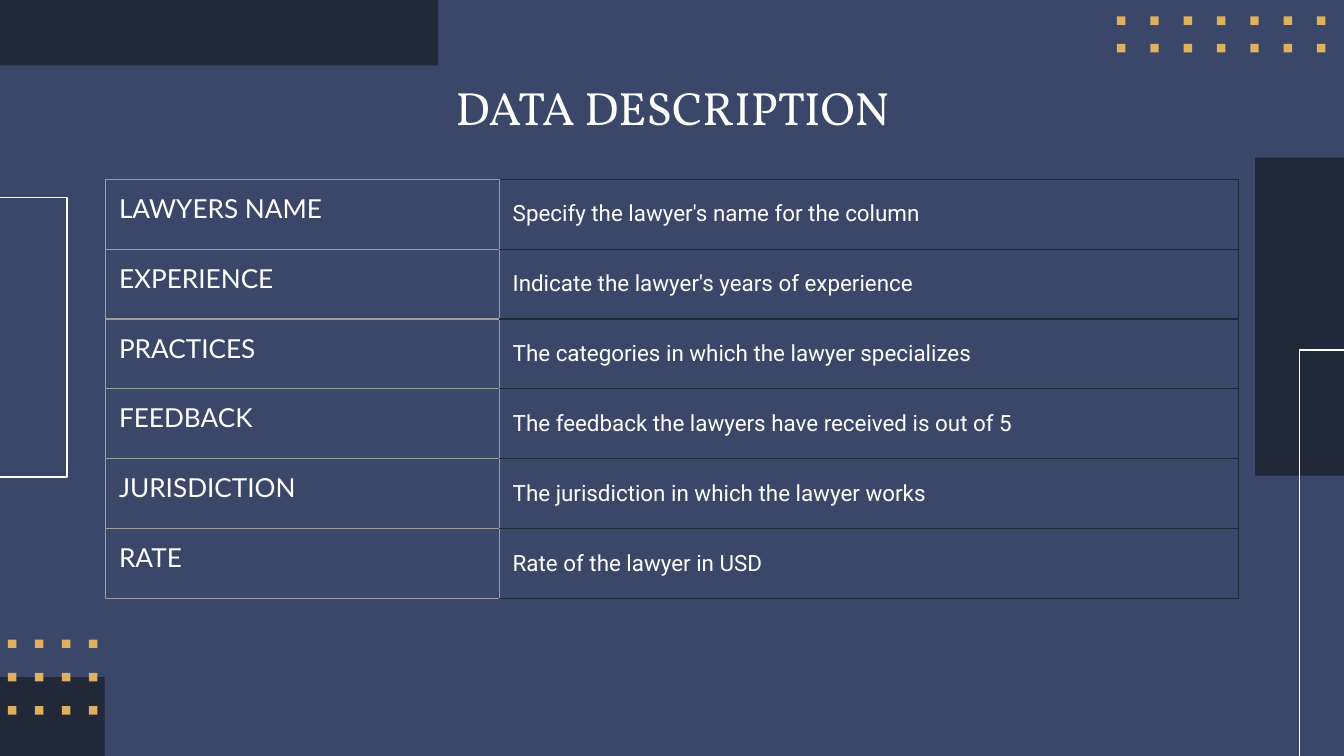
from lxml.etree import SubElement
from pptx import Presentation
from pptx.dml.color import RGBColor
from pptx.enum.shapes import MSO_SHAPE
from pptx.enum.text import MSO_ANCHOR, PP_ALIGN
from pptx.oxml.ns import qn
from pptx.util import Cm, Pt

NAVY = RGBColor(0x3A, 0x47, 0x69)
DARK = RGBColor(0x21, 0x28, 0x38)
GOLD = RGBColor(0xDF, 0xB0, 0x5F)
GREY = RGBColor(0x9E, 0x9E, 0x9E)
WHITE = RGBColor(0xFF, 0xFF, 0xFF)

TITLE = "DATA DESCRIPTION"
FIELDS = [
    ("LAWYERS NAME", "Specify the lawyer's name for the column"),
    ("EXPERIENCE", "Indicate the lawyer's years of experience"),
    ("PRACTICES", "The categories in which the lawyer specializes"),
    ("FEEDBACK", "The feedback the lawyers have received is out of 5"),
    ("JURISDICTION", "The jurisdiction in which the lawyer works"),
    ("RATE", "Rate of the lawyer in USD"),
]
COLUMN_WIDTHS = (7.44, 13.97)
ROW_HEIGHT = 1.32

PANELS = [(23.72, 2.98, 1.68, 6.01), (0, 12.8, 1.98, 1.49), (0, 0, 8.28, 1.24)]
FRAMES = [
    [(24.56, 14.29), (24.56, 6.62), (25.4, 6.62)],
    [(-0.33, 3.73), (1.27, 3.73), (1.27, 9.02), (-0.33, 9.02)],
]
DOT_SIZE = 0.16
DOT_GRIDS = [
    {"left": 21.11, "top": 0.31, "columns": 7, "rows": 2, "dx": 0.63, "dy": 0.52},
    {"left": 0.15, "top": 12.09, "columns": 4, "rows": 3, "dx": 0.51, "dy": 0.63},
]


def add_block(shapes, left, top, width, height, color):
    block = shapes.add_shape(
        MSO_SHAPE.RECTANGLE, Cm(left), Cm(top), Cm(width), Cm(height))
    block.shadow.inherit = False
    block.fill.solid()
    block.fill.fore_color.rgb = color
    block.line.fill.background()


def add_frame(shapes, points):
    start, *rest = [(Cm(x), Cm(y)) for x, y in points]
    builder = shapes.build_freeform(*start)
    builder.add_line_segments(rest, close=False)
    frame = builder.convert_to_shape()
    frame.shadow.inherit = False
    frame.fill.background()
    frame.line.color.rgb = WHITE
    frame.line.width = Pt(0.75)


def add_dots(shapes, grid):
    dots = shapes.add_group_shape().shapes
    for row in range(grid["rows"]):
        for column in range(grid["columns"]):
            add_block(dots, grid["left"] + column * grid["dx"],
                      grid["top"] + row * grid["dy"], DOT_SIZE, DOT_SIZE, GOLD)


def format_text(paragraph, font, size):
    for run in paragraph.runs:
        run.font.name = font
        run.font.size = Pt(size)
        run.font.color.rgb = WHITE


def set_borders(cell, colors):
    properties = cell._tc.get_or_add_tcPr()
    for position, (side, color) in enumerate(zip("LRTB", colors)):
        border = properties.makeelement(qn(f"a:ln{side}"), {"w": str(Pt(0.75))})
        fill = SubElement(border, qn("a:solidFill"))
        SubElement(fill, qn("a:srgbClr"), val=str(color))
        properties.insert(position, border)


def fill_cell(cell, text, font, size, vertical_margin, border_colors):
    cell.fill.background()
    cell.margin_left = cell.margin_right = Cm(0.25)
    cell.margin_top = cell.margin_bottom = Cm(vertical_margin)
    cell.text_frame.text = text
    format_text(cell.text_frame.paragraphs[0], font, size)
    set_borders(cell, border_colors)


def add_fields(shapes):
    table = shapes.add_table(
        len(FIELDS), len(COLUMN_WIDTHS), Cm(2), Cm(3.39),
        Cm(sum(COLUMN_WIDTHS)), Cm(ROW_HEIGHT * len(FIELDS))).table
    table.first_row = table.horz_banding = False
    for column, width in zip(table.columns, COLUMN_WIDTHS):
        column.width = Cm(width)
    for row, (field, description) in zip(table.rows, FIELDS):
        row.height = Cm(ROW_HEIGHT)
        field_cell, description_cell = row.cells
        fill_cell(field_cell, field, "Lato", 14, 0.25, [GREY] * 4)
        fill_cell(description_cell, description, "Roboto", 12, 0,
                  [GREY, DARK, DARK, DARK])
        description_cell.vertical_anchor = MSO_ANCHOR.MIDDLE
        description_cell.text_frame.paragraphs[0].space_after = Pt(16)


def add_title(title):
    title.left, title.top, title.width, title.height = (
        Cm(2), Cm(1.24), Cm(21.41), Cm(1.6))
    frame = title.text_frame
    frame.text = TITLE
    frame.word_wrap = True
    frame.vertical_anchor = MSO_ANCHOR.TOP
    frame.margin_left = frame.margin_right = Cm(0.25)
    frame.margin_top = frame.margin_bottom = Cm(0.25)
    frame.paragraphs[0].alignment = PP_ALIGN.CENTER
    format_text(frame.paragraphs[0], "Vollkorn", 25)


def main():
    presentation = Presentation()
    presentation.slide_width, presentation.slide_height = Cm(25.4), Cm(14.29)
    slide = presentation.slides.add_slide(presentation.slide_layouts[5])
    slide.background.fill.solid()
    slide.background.fill.fore_color.rgb = NAVY
    for panel in PANELS:
        add_block(slide.shapes, *panel, DARK)
    for frame in FRAMES:
        add_frame(slide.shapes, frame)
    for grid in DOT_GRIDS:
        add_dots(slide.shapes, grid)
    add_title(slide.shapes.title)
    add_fields(slide.shapes)
    presentation.save("out.pptx")


if __name__ == "__main__":
    main()
